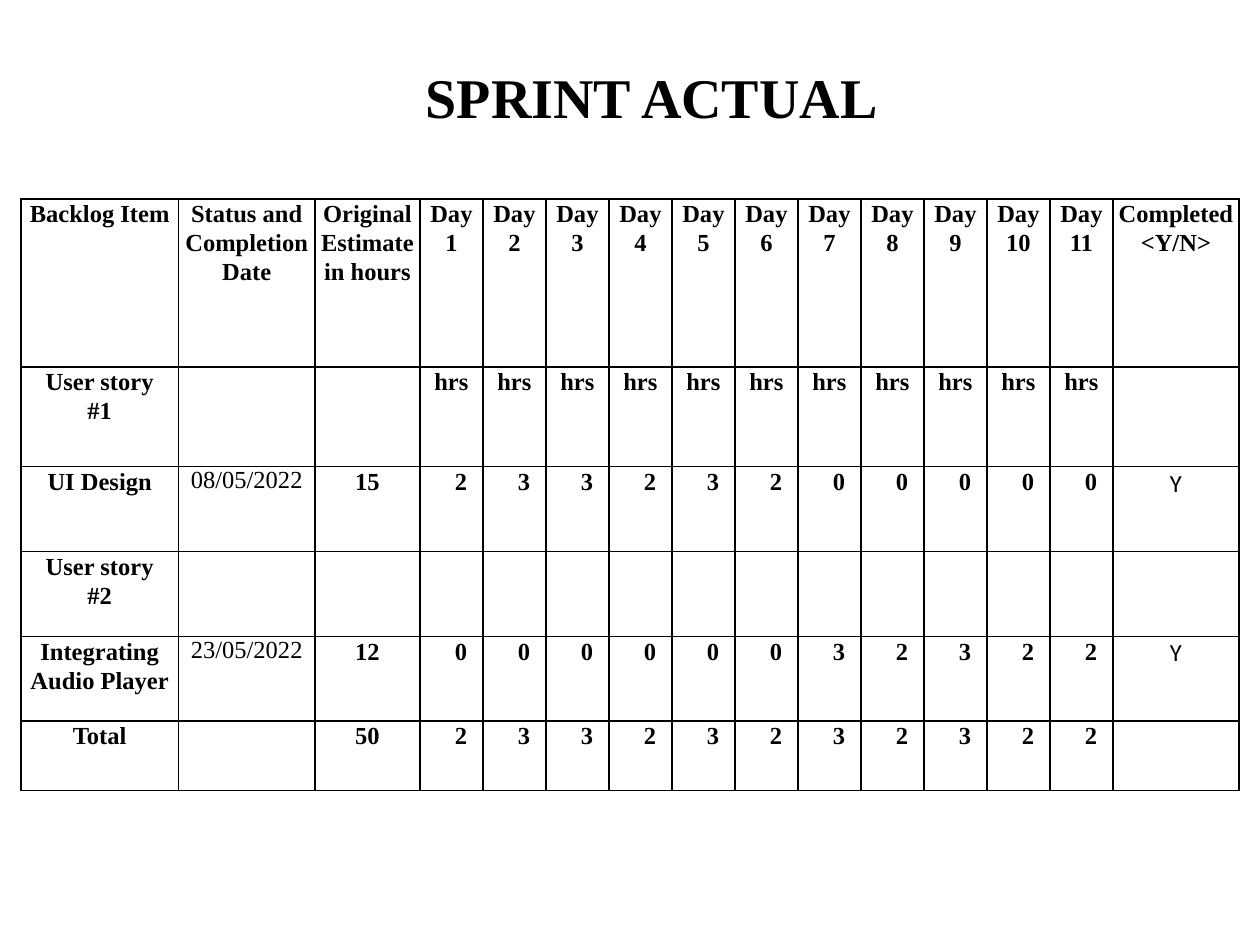
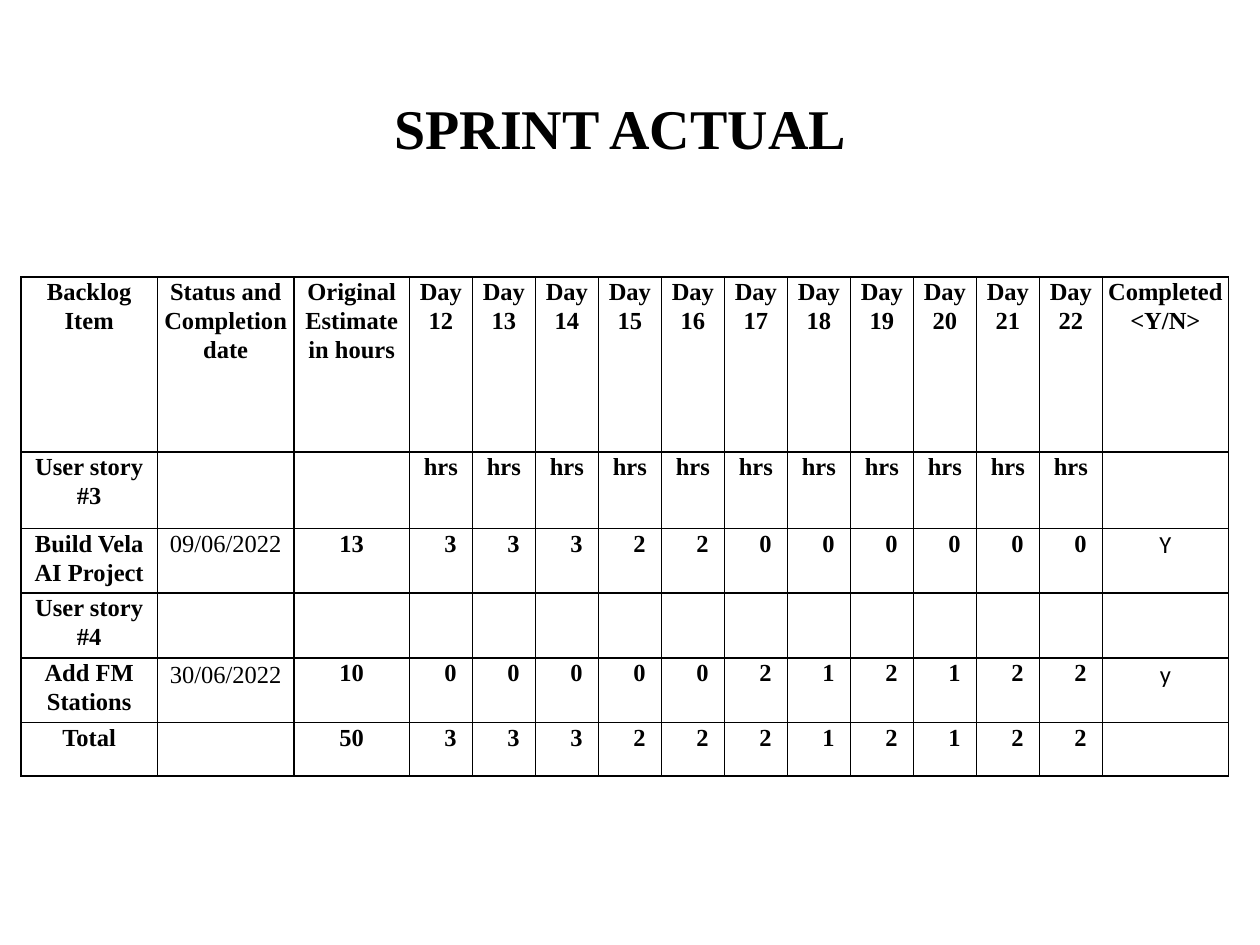
from pptx import Presentation
from pptx.dml.color import RGBColor
from pptx.enum import text
from pptx.oxml import parse_xml
from pptx.oxml.ns import nsdecls
from pptx.util import Pt

TITLE = "SPRINT ACTUAL"
DAYS_PER_SPRINT = 11

# A story: label, task, date, line spacing of the date, estimate, hours per day, completed
SPRINTS = [
    {
        "title_at": (235, 32),
        "table_top": 113.75,
        "lead_widths": [90, 78, 60],
        "row_heights": [96, 57, 48.5, 48.5, 48.5, 39.5],
        "date_header": "Status and Completion Date",
        "first_day": 1,
        "stories": [
            ("#1", "UI Design", "08/05/2022", 1.0, 15,
             [2, 3, 3, 2, 3, 2, 0, 0, 0, 0, 0], "Y"),
            ("#2", "Integrating Audio Player", "23/05/2022", 1.0, 12,
             [0, 0, 0, 0, 0, 0, 3, 2, 3, 2, 2], "Y"),
        ],
        "estimate_total": 50,
    },
    {
        "title_at": (217, 50),
        "table_top": 158.25,
        "lead_widths": [78, 78, 66],
        "row_heights": [100, 43.75, 37, 37, 37, 30.5],
        "date_header": "Status and Completion date",
        "first_day": 12,
        "stories": [
            ("#3", "Build Vela AI Project", "09/06/2022", 1.07, 13,
             [3, 3, 3, 2, 2, 0, 0, 0, 0, 0, 0], "Y"),
            ("#4", "Add FM Stations", "30/06/2022", 1.15, 10,
             [0, 0, 0, 0, 0, 2, 1, 2, 1, 2, 2], "y"),
        ],
        "estimate_total": 50,
    },
]

BLACK = RGBColor(0, 0, 0)
SERIF = "Times New Roman"
THEME = {
    "title": {"name": SERIF, "size": Pt(32), "bold": True},
    "strong": {"name": SERIF, "size": Pt(14), "bold": True},
    "date": {"name": SERIF, "size": Pt(14), "bold": False},
    "flag": {"name": "Calibri", "size": Pt(14), "bold": False},
    "ink": BLACK,
    "border": Pt(1),
    "line_spacing": 1.07,
    "side_margin": 3,
    "hours_indent": 11,
}
TABLE_LEFT = 12
TITLE_SIZE = (275, 46)
DAY_WIDTH, COMPLETED_WIDTH = 36, 72
FIRST_DAY_COLUMN = 3


def set_all(target, values):
    for name, value in values.items():
        setattr(target, name, value)


def write(frame, words, style, spacing=None):
    """Put each line of words in its own centred paragraph."""
    for index, line in enumerate(words.split("\n")):
        paragraph = frame.add_paragraph() if index else frame.paragraphs[0]
        paragraph.alignment = text.PP_ALIGN.CENTER
        paragraph.line_spacing = spacing
        run = paragraph.add_run()
        run.text = line
        set_all(run.font, THEME[style])
        run.font.color.rgb = THEME["ink"]


def add_borders(cell):
    properties = cell._tc.get_or_add_tcPr()
    for position, side in enumerate(("lnL", "lnR", "lnT", "lnB")):
        properties.insert(position, parse_xml(
            f'<a:{side} {nsdecls("a")} w="{THEME["border"]}"><a:solidFill>'
            f'<a:srgbClr val="{THEME["ink"]}"/></a:solidFill></a:{side}>'))


def sprint_rows(sprint):
    """Lay the sprint out as six rows of cell texts, and list the date spacings by row."""
    days = range(sprint["first_day"], sprint["first_day"] + DAYS_PER_SPRINT)
    rows = [["Backlog Item", sprint["date_header"], "Original Estimate in hours",
             *(f"Day {day}" for day in days), "Completed\n<Y/N>"]]
    date_spacing = {}
    for index, (label, task, date, spacing, estimate, hours, done) in enumerate(sprint["stories"]):
        units = ["" if index else "hrs"] * DAYS_PER_SPRINT
        rows.append([f"User story\n{label}", "", "", *units, ""])
        date_spacing[len(rows)] = spacing
        rows.append([task, date, estimate, *hours, done])
    daily_totals = map(sum, zip(*(story[5] for story in sprint["stories"])))
    rows.append(["Total", "", sprint["estimate_total"], *daily_totals, ""])
    return rows, date_spacing


def add_title(slide, sprint):
    box = slide.shapes.add_textbox(*map(Pt, sprint["title_at"] + TITLE_SIZE))
    set_all(box.text_frame, {"word_wrap": False,
                             "auto_size": text.MSO_AUTO_SIZE.SHAPE_TO_FIT_TEXT})
    write(box.text_frame, TITLE, "title")


def add_sprint_table(slide, sprint):
    rows, date_spacing = sprint_rows(sprint)
    widths = sprint["lead_widths"] + [DAY_WIDTH] * DAYS_PER_SPRINT + [COMPLETED_WIDTH]
    heights = sprint["row_heights"]
    table = slide.shapes.add_table(
        len(rows), len(widths), Pt(TABLE_LEFT), Pt(sprint["table_top"]),
        Pt(sum(widths)), Pt(sum(heights))).table
    set_all(table, {"first_row": False, "horz_banding": False})
    for column, width in zip(table.columns, widths):
        column.width = Pt(width)
    for row, height in zip(table.rows, heights):
        row.height = Pt(height)

    for r, row in enumerate(rows):
        for c, value in enumerate(row):
            cell = table.cell(r, c)
            is_hours = isinstance(value, int) and c >= FIRST_DAY_COLUMN
            indent = THEME["hours_indent"] if is_hours else 0
            set_all(cell, {"margin_left": Pt(THEME["side_margin"] + indent),
                           "margin_right": Pt(THEME["side_margin"]),
                           "margin_top": 0, "margin_bottom": 0})
            cell.fill.background()
            add_borders(cell)
            if value == "":
                continue
            style, spacing = "strong", THEME["line_spacing"]
            if r in date_spacing and c == 1:
                style, spacing = "date", date_spacing[r]
            elif r in date_spacing and c == len(row) - 1:
                style = "flag"
            write(cell.text_frame, str(value), style, spacing)


def main():
    deck = Presentation()
    set_all(deck, {"slide_width": Pt(720), "slide_height": Pt(540)})
    for sprint in SPRINTS:
        slide = deck.slides.add_slide(deck.slide_layouts[6])
        add_title(slide, sprint)
        add_sprint_table(slide, sprint)
    deck.save("out.pptx")


if __name__ == "__main__":
    main()
